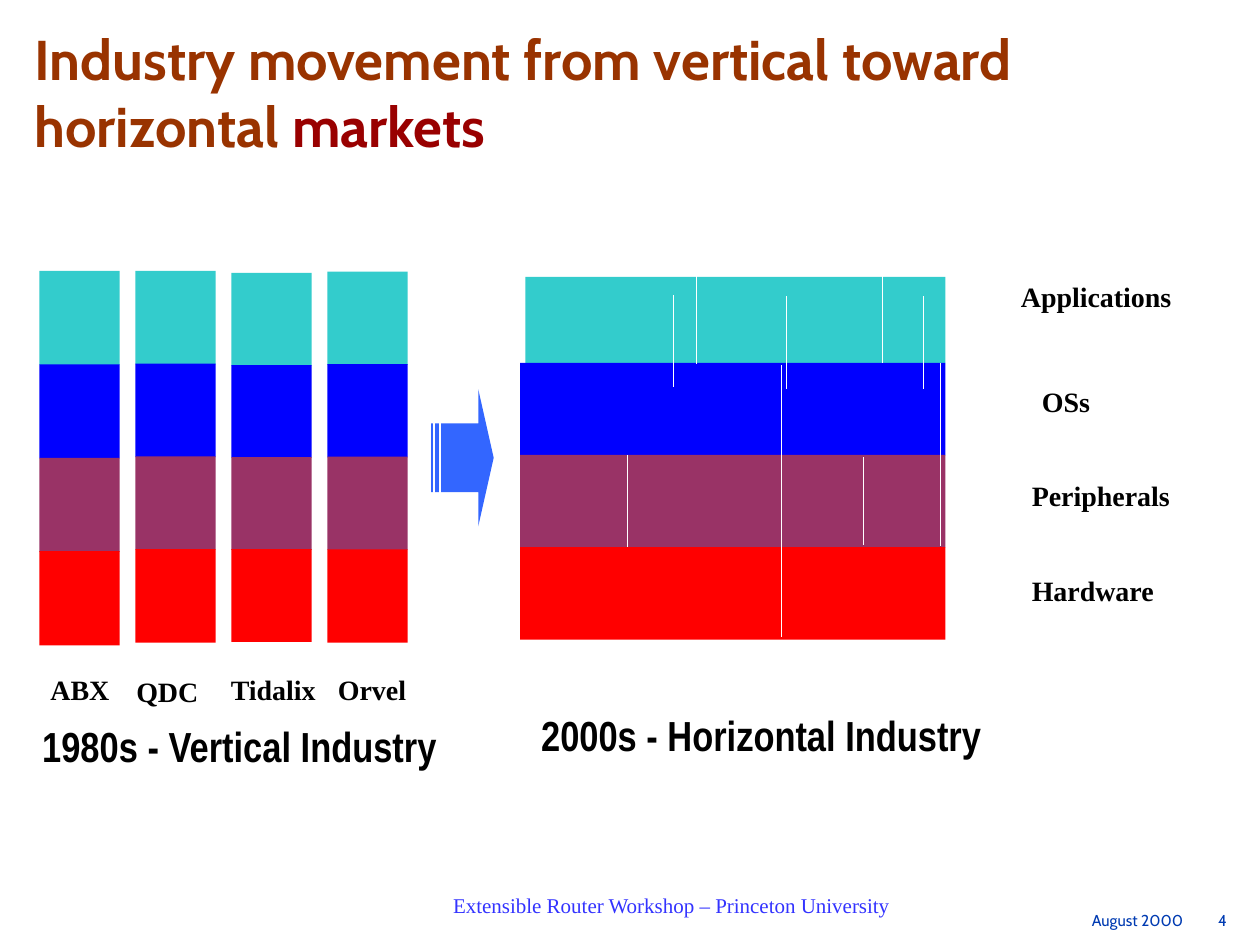
from lxml import etree
from pptx import Presentation
from pptx.dml.color import RGBColor
from pptx.enum.shapes import MSO_CONNECTOR, MSO_SHAPE
from pptx.enum.text import MSO_ANCHOR, MSO_AUTO_SIZE, PP_ALIGN
from pptx.oxml.ns import qn
from pptx.util import Pt

RECTANGLE = MSO_SHAPE.RECTANGLE
STRAIGHT = MSO_CONNECTOR.STRAIGHT
TOP = MSO_ANCHOR.TOP
NO_AUTOFIT = MSO_AUTO_SIZE.NONE
LEFT, CENTER = PP_ALIGN.LEFT, PP_ALIGN.CENTER

BLACK = RGBColor(0x00, 0x00, 0x00)
WHITE = RGBColor(0xFF, 0xFF, 0xFF)
BROWN = RGBColor(0x99, 0x33, 0x00)
DARK_RED = RGBColor(0x99, 0x00, 0x00)
ARROW_BLUE = RGBColor(0x33, 0x66, 0xFF)
FOOTER_BLUE = RGBColor(0x33, 0x33, 0xFF)
DATE_BLUE = RGBColor(0x00, 0x3B, 0xB2)
LAYER_COLORS = [
    RGBColor(0x33, 0xCC, 0xCC),
    RGBColor(0x00, 0x00, 0xFF),
    RGBColor(0x99, 0x33, 0x66),
    RGBColor(0xFF, 0x00, 0x00),
]

TITLE_FONT = {"name": "Cabin", "size": Pt(32), "bold": True}
LABEL_FONT = {"name": "Times New Roman", "size": Pt(16), "bold": True}
CAPTION_FONT = {"name": "Arial Narrow", "size": Pt(24), "bold": True}
FOOTER_FONT = {"name": "Times New Roman", "size": Pt(12), "bold": False}
DATE_FONT = {"name": "Cabin", "size": Pt(9), "bold": False}
LABEL_MARGINS = (7.2, 3.6)
FOOTER_MARGINS = (6.5, 0)


def format_font(font, values, color):
    for attribute, value in values.items():
        setattr(font, attribute, value)
    font.color.rgb = color


def format_frame(frame, margins):
    across, down = margins
    values = {
        "margin_left": Pt(across), "margin_right": Pt(across),
        "margin_top": Pt(down), "margin_bottom": Pt(down),
        "word_wrap": True, "auto_size": NO_AUTOFIT, "vertical_anchor": TOP,
    }
    for attribute, value in values.items():
        setattr(frame, attribute, value)


def add_label(slide, box, text, font=LABEL_FONT, color=BLACK, align=LEFT,
              margins=LABEL_MARGINS):
    frame = slide.shapes.add_textbox(*map(Pt, box)).text_frame
    format_frame(frame, margins)
    paragraph = frame.paragraphs[0]
    paragraph.alignment = align
    run = paragraph.add_run()
    run.text = text
    format_font(run.font, font, color)
    return paragraph


def paint(shape, color):
    shape.shadow.inherit = False
    shape.fill.solid()
    shape.fill.fore_color.rgb = color
    shape.line.fill.background()


def add_layer(shapes, box, color):
    paint(shapes.add_shape(RECTANGLE, *map(Pt, box)), color)


def add_title(slide, box):
    title = slide.shapes.title
    title.left, title.top, title.width, title.height = map(Pt, box)
    format_frame(title.text_frame, (3.6, 0))
    paragraph = title.text_frame.paragraphs[0]
    paragraph.alignment = LEFT
    paragraph.line_spacing = 1.0
    for text, color in [
        ("Industry movement from vertical toward horizontal ", BROWN),
        ("markets", DARK_RED),
    ]:
        run = paragraph.add_run()
        run.text = text
        format_font(run.font, TITLE_FONT, color)


def add_vertical_industry(slide, box):
    left, top, width, height = box
    gap = 9
    column_width = (width - 3 * gap) / 4
    columns = [(0, 53.4), (0, 53), (1.2, 52.6), (0.4, 52.9)]
    for index, (offset, step) in enumerate(columns):
        column = slide.shapes.add_group_shape()
        x = left + index * (column_width + gap)
        for row, color in enumerate(LAYER_COLORS):
            y = top + offset + row * step
            add_layer(column.shapes, (x, y, column_width, step + 0.4), color)

    names_top = top + height + 12.3
    for x, drop, name_width, name, align in [
        (-0.7, 0, 52, "ABX", LEFT),
        (48.3, 0.8, 67, "QDC", LEFT),
        (98, 0, 71.3, "Tidalix", CENTER),
        (163.5, 0, 62, "Orvel", LEFT),
    ]:
        add_label(slide, (left + x, names_top + drop, name_width, 26.6), name,
                  align=align)
    add_label(slide, (0, top + height + 39.6, 273.6, 36),
              "1980s - Vertical Industry", CAPTION_FONT, align=CENTER)


def add_arrow(slide, box):
    left, top, width, height = box
    right, bottom, middle = left + width, top + height, top + height / 2
    upper, lower = top + height / 4, bottom - height / 4
    neck = left + 27
    head = [(neck, top), (neck, upper), (left + 5.7, upper),
            (left + 5.7, lower), (neck, lower), (neck, bottom), (right, middle)]
    stripes = [
        [(left + a, upper), (left + a, lower), (left + b, lower), (left + b, upper)]
        for a, b in [(2.3, 4.5), (0, 1)]
    ]
    outlines = [[(Pt(x), Pt(y)) for x, y in part] for part in [head, *stripes]]
    builder = slide.shapes.build_freeform(*outlines[0][0], scale=1.0)
    builder.add_line_segments(outlines[0][1:], close=True)
    for start, *rest in outlines[1:]:
        builder.move_to(*start)
        builder.add_line_segments(rest, close=True)
    paint(builder.convert_to_shape(), ARROW_BLUE)


def add_horizontal_industry(slide, box):
    left, top, width, height = box
    first_height = 49.2
    step = (height - first_height) / 3
    add_layer(slide.shapes, (left + 3, top, width - 3, first_height), LAYER_COLORS[0])
    for row, color in enumerate(LAYER_COLORS[1:]):
        y = top + first_height + row * step
        add_layer(slide.shapes, (left, y, width, step + 0.3), color)

    for x, y, length in [
        (87.5, 10.3, 52.8), (152.4, 11.2, 52.8), (230.6, 11.2, 52.8),
        (101, -3, 52.8), (207, -3.6, 52.8), (149.2, 50.6, 52.8),
        (240.2, 49.2, 52.8), (149.2, 153.2, 52.8), (149.2, 101.8, 52.8),
        (240.2, 101.2, 52.8), (61.3, 101.8, 52.8), (196.2, 103, 50.4),
    ]:
        divider = slide.shapes.add_connector(
            STRAIGHT, Pt(left + x), Pt(top + y), Pt(left + x), Pt(top + y + length))
        divider.line.color.rgb = WHITE
        divider.line.width = Pt(0.5)
        etree.SubElement(divider._element.spPr, qn("a:effectLst"))

    add_label(slide, (left - 3.2, top + height + 36.6, 282, 36),
              "2000s - Horizontal Industry", CAPTION_FONT, align=CENTER)


def add_layer_names(slide, box):
    left, top, width, height = box
    for x, y, name in [
        (0, 0, "Applications"), (12, 60, "OSs"),
        (6.2, 114, "Peripherals"), (6.2, 168, "Hardware"),
    ]:
        add_label(slide, (left + x, top + y, width - x, 26.6), name)


def add_footer(slide, box):
    left, top, width, height = box
    add_label(slide, (left, top, 324, 14.4),
              "Extensible Router Workshop – Princeton University",
              FOOTER_FONT, FOOTER_BLUE, CENTER, FOOTER_MARGINS)
    date = add_label(slide, (left + 262.8, top + 10.5, 223.2, 12.2),
                     "\tAugust 2000\t4", DATE_FONT, DATE_BLUE,
                     margins=FOOTER_MARGINS)
    tabs = etree.SubElement(date._p.get_or_add_pPr(), qn("a:tabLst"))
    for position in (185, 210):
        etree.SubElement(tabs, qn("a:tab"), pos=str(Pt(position)), algn="r")


def main():
    deck = Presentation()
    deck.slide_width, deck.slide_height = Pt(720), Pt(540)
    slide = deck.slides.add_slide(deck.slide_layouts[5])
    add_title(slide, (16, 14, 704, 77))
    add_footer(slide, (221.8, 509.8, 486, 22.2))
    add_layer_names(slide, (576.3, 156, 108, 194.6))
    add_vertical_industry(slide, (22.5, 154.8, 210.5, 213.8))
    add_arrow(slide, (246.3, 222.4, 35.8, 78.4))
    add_horizontal_industry(slide, (297.2, 158.2, 243, 207))
    deck.save("out.pptx")


if __name__ == "__main__":
    main()
